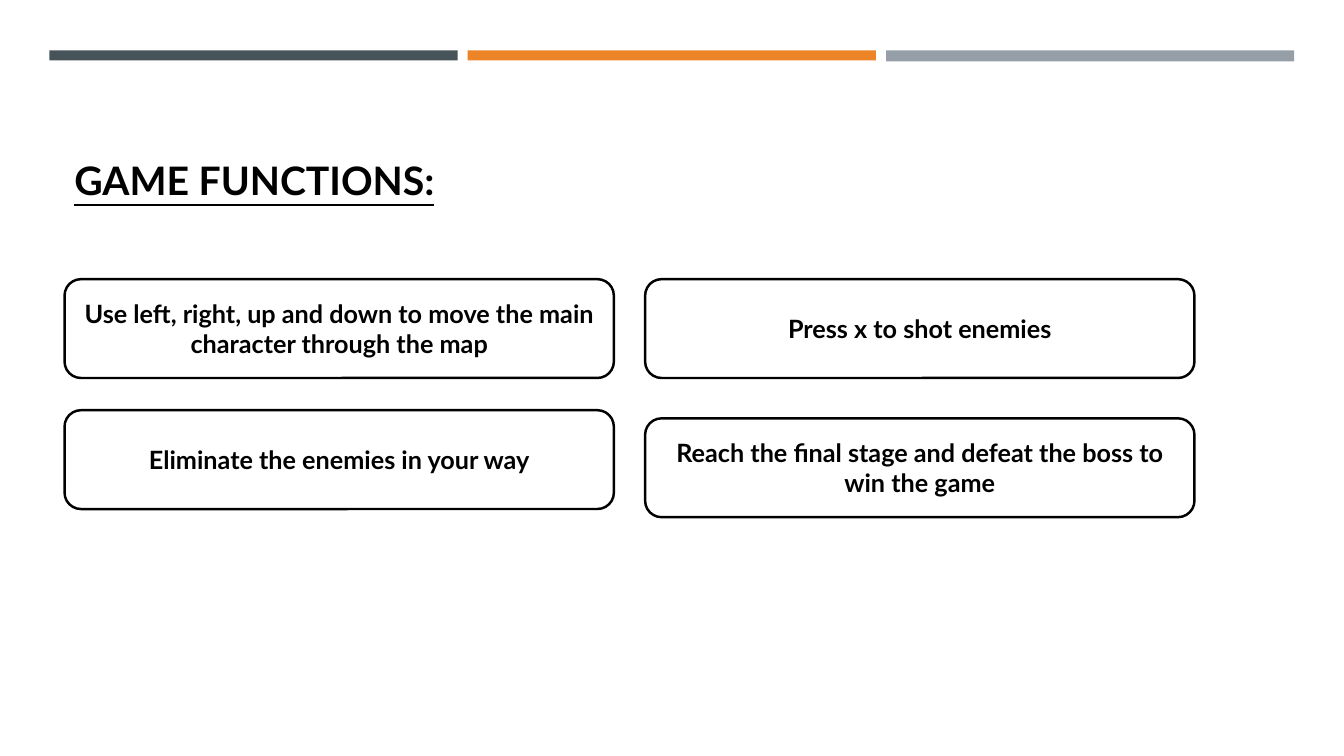
"""Build the game functions slide: colour bars, title and four cards."""
from pptx import Presentation
from pptx import util as u
from pptx.dml.color import RGBColor
from pptx.enum import shapes, text

BLACK = RGBColor(0x00, 0x00, 0x00)
WHITE = RGBColor(0xFF, 0xFF, 0xFF)
SLATE = RGBColor(0x46, 0x53, 0x59)
ORANGE = RGBColor(0xED, 0x84, 0x28)
GREY = RGBColor(0x96, 0x9F, 0xA7)

BAR_LEFT, BAR_TOP, BAR_WIDTH, BAR_STEP = 35.3, 36, 291.6, 298.8
CARD_WIDTH, CARD_HEIGHT = 392.4, 70.6
LEFT_COLUMN, RIGHT_COLUMN = 46.1, 460.8
FIRST_ROW = 199.4

CARDS = [
    (LEFT_COLUMN, FIRST_ROW, "Use left, right, up and down to move the main character through the map"),
    (LEFT_COLUMN, 293, "Eliminate the enemies in your way"),
    (RIGHT_COLUMN, FIRST_ROW, "Press x to shot enemies"),
    (RIGHT_COLUMN, 298.8, "Reach the final stage and defeat the boss to win the game"),
]


def add_box(kind, left, top, width, height, fill):
    shape = slide.shapes.add_shape(kind, u.Pt(left), u.Pt(top), u.Pt(width), u.Pt(height))
    shape.shadow.inherit = False
    shape.fill.solid()
    shape.fill.fore_color.rgb = fill
    shape.line.fill.background()
    return shape


def write(shape, wording, size, anchor, alignment):
    frame = shape.text_frame
    frame.word_wrap = True
    frame.vertical_anchor = anchor
    frame.text = wording
    paragraph = frame.paragraphs[0]
    paragraph.alignment = alignment
    font = paragraph.runs[0].font
    font.name = "Lato"
    font.size = u.Pt(size)
    font.bold = True
    font.color.rgb = BLACK
    return paragraph


presentation = Presentation()
presentation.slide_width = u.Pt(960)
presentation.slide_height = u.Pt(540)
slide = presentation.slides.add_slide(presentation.slide_layouts[6])

for column, (colour, height) in enumerate([(SLATE, 7.2), (ORANGE, 7.2), (GREY, 7.9)]):
    add_box(shapes.MSO_SHAPE.RECTANGLE, BAR_LEFT + column * BAR_STEP, BAR_TOP, BAR_WIDTH, height, colour)

title = slide.shapes.add_textbox(u.Pt(LEFT_COLUMN), u.Pt(55.4), u.Pt(868.3), u.Pt(93.6))
heading = write(title, "GAME FUNCTIONS:", 28, text.MSO_ANCHOR.BOTTOM, text.PP_ALIGN.LEFT)
heading.line_spacing = 0.9
heading.runs[0].font.underline = True

for left, top, wording in CARDS:
    card = add_box(shapes.MSO_SHAPE.ROUNDED_RECTANGLE, left, top, CARD_WIDTH, CARD_HEIGHT, WHITE)
    card.line.color.rgb = BLACK
    card.line.width = u.Pt(1.75)
    write(card, wording, 18, text.MSO_ANCHOR.MIDDLE, text.PP_ALIGN.CENTER)

presentation.save("out.pptx")
